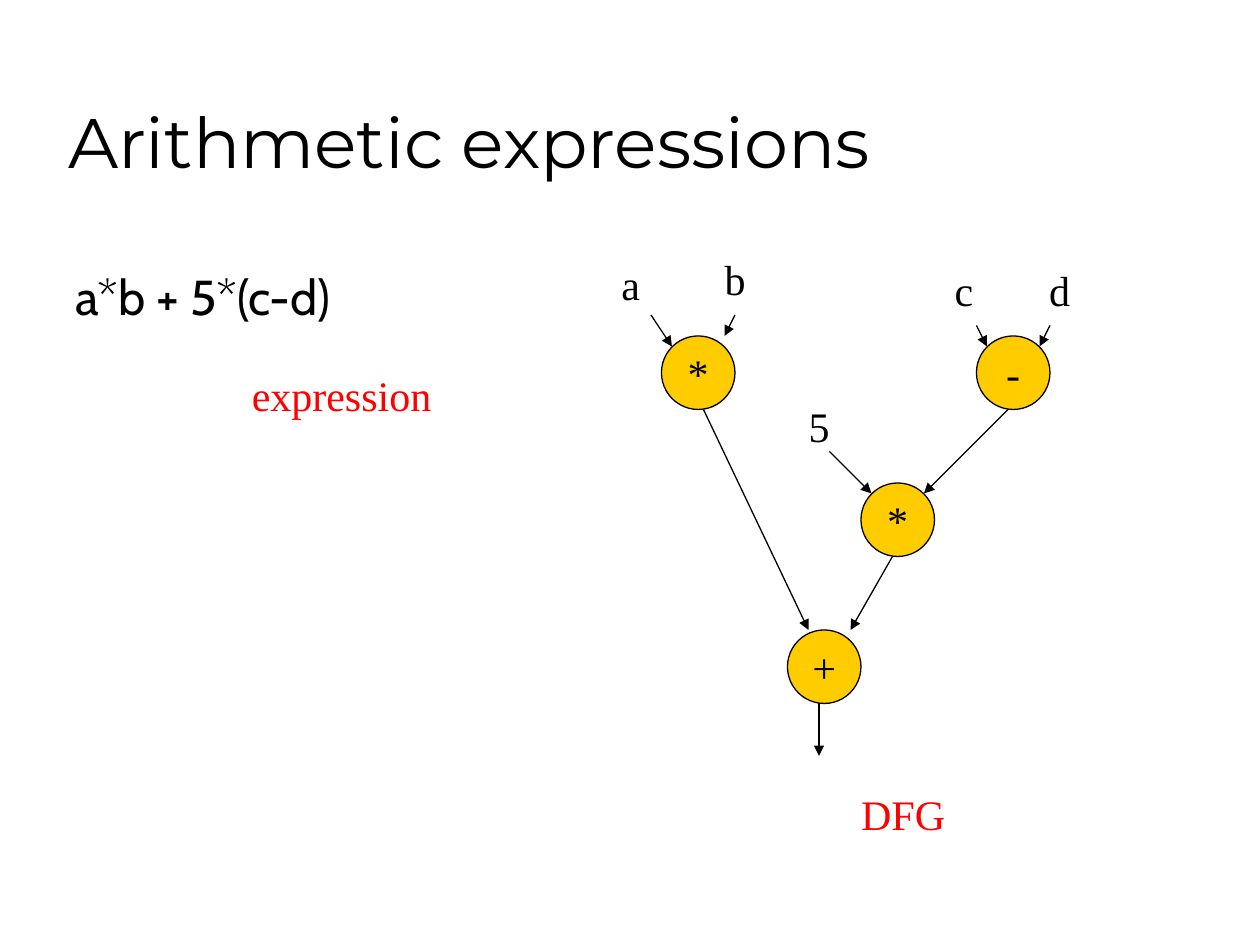
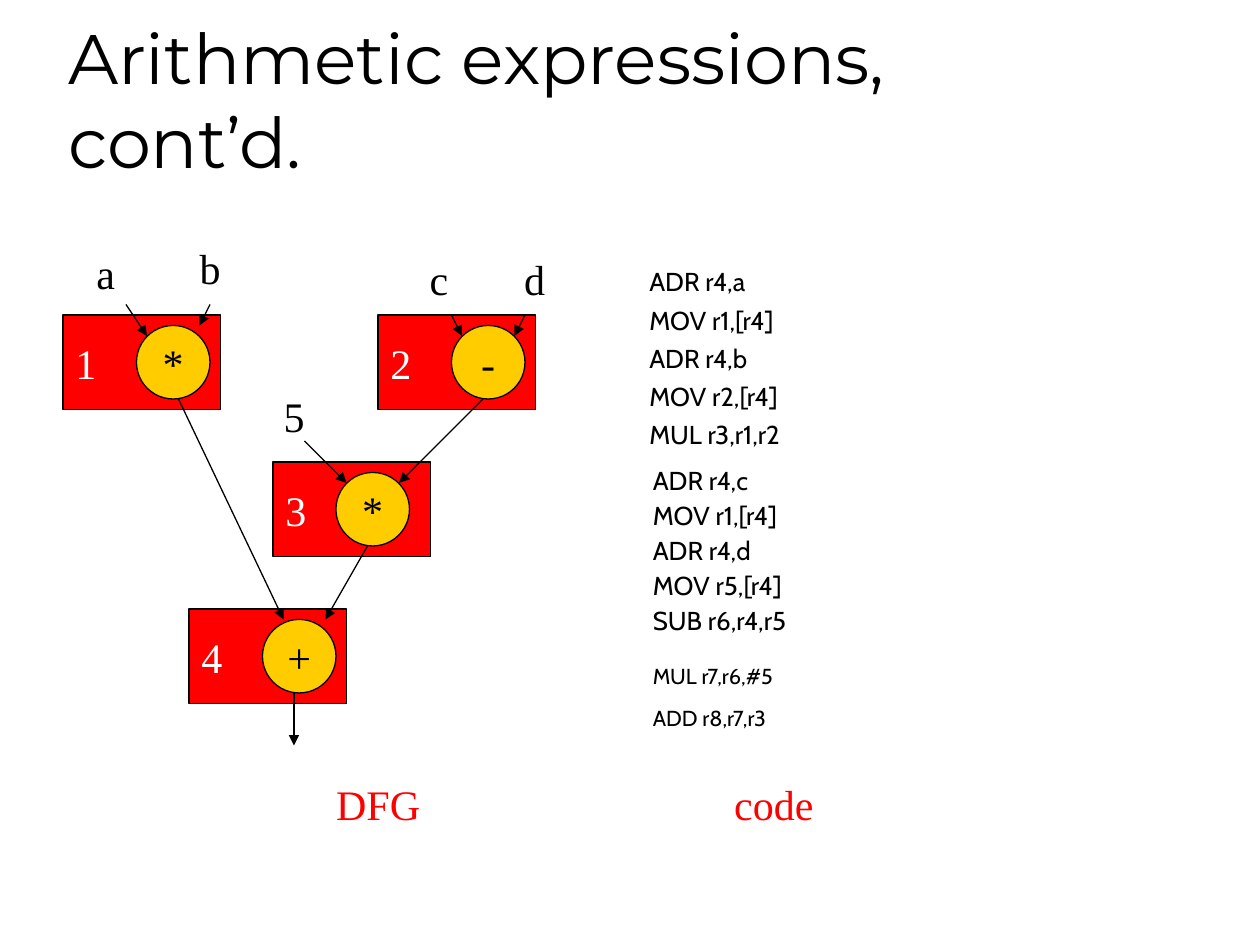
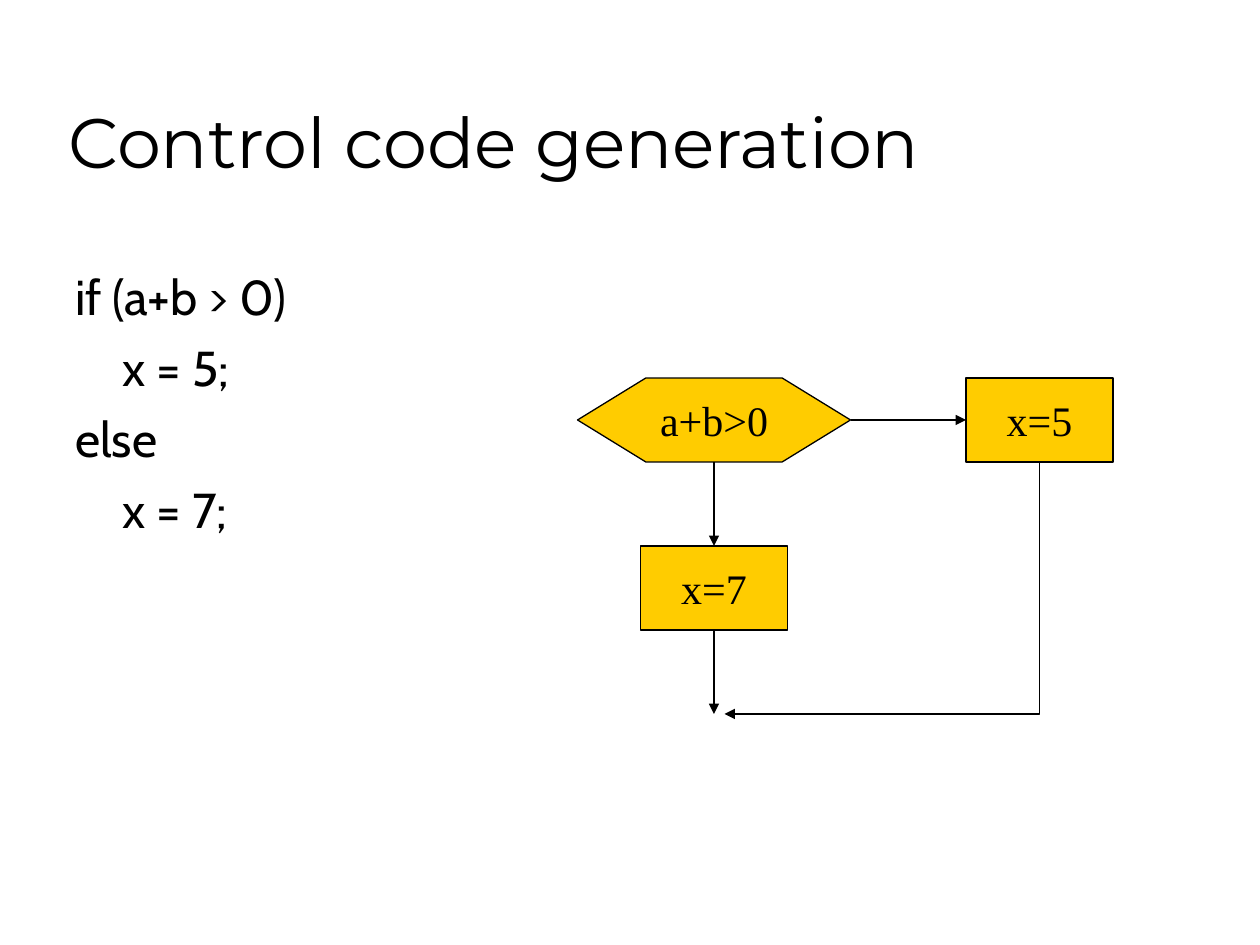
from pptx import Presentation
from pptx.dml.color import RGBColor
from pptx.enum.shapes import MSO_CONNECTOR, MSO_SHAPE
from pptx.enum.text import MSO_ANCHOR, PP_ALIGN
from pptx.oxml.ns import qn
from pptx.util import Pt
from lxml.etree import SubElement

# Shared look
BLACK = RGBColor(0x00, 0x00, 0x00)
WHITE = RGBColor(0xFF, 0xFF, 0xFF)
RED = RGBColor(0xFF, 0x00, 0x00)
GOLD = RGBColor(0xFF, 0xCC, 0x00)
TITLE_FONT, BODY_FONT, LABEL_FONT = "Montserrat", "Cabin", "Times New Roman"
LINE_WIDTH = Pt(0.75)


def add_text(slide, box, lines, font=LABEL_FONT, size=24, color=BLACK, kind=None,
             fill=GOLD, align=PP_ALIGN.LEFT, anchor=MSO_ANCHOR.TOP, wrap=False,
             before=0, spacing=None):
    """Add a text box, or a filled shape when a kind is given."""
    place = [Pt(v) for v in box]
    if kind is None:
        holder = slide.shapes.add_textbox(*place)
    else:
        holder = slide.shapes.add_shape(kind, *place)
        holder.shadow.inherit = False
        holder.fill.solid()
        holder.fill.fore_color.rgb = fill
        holder.line.color.rgb = BLACK
        holder.line.width = LINE_WIDTH
    frame = holder.text_frame
    frame.word_wrap = wrap
    frame.vertical_anchor = anchor
    for i, line in enumerate(lines):
        paragraph = frame.paragraphs[0] if i == 0 else frame.add_paragraph()
        paragraph.text = line
        paragraph.alignment = align
        if i > 0:
            paragraph.space_before = Pt(before)
        if spacing:
            paragraph.line_spacing = spacing
        paragraph.font.name = font
        paragraph.font.size = Pt(size)
        paragraph.font.color.rgb = color
    return holder


def add_arrow(slide, x1, y1, x2, y2, kind=MSO_CONNECTOR.STRAIGHT):
    arrow = slide.shapes.add_connector(kind, Pt(x1), Pt(y1), Pt(x2), Pt(y2))
    arrow.line.color.rgb = BLACK
    arrow.line.width = LINE_WIDTH
    properties = arrow._element.spPr
    SubElement(properties.find(qn("a:ln")), qn("a:tailEnd"), type="triangle")
    SubElement(properties, qn("a:effectLst"))
    return arrow


prs = Presentation()
prs.slide_width, prs.slide_height = Pt(720), Pt(540)

# Slides and titles
titles = ["Arithmetic expressions", "Arithmetic expressions, cont’d.",
          "Control code generation"]
slides = []
for title in titles:
    slide = prs.slides.add_slide(prs.slide_layouts[6])
    add_text(slide, (32, 18, 612, 90), [title], TITLE_FONT, 40,
             anchor=MSO_ANCHOR.BOTTOM, wrap=True)
    slides.append(slide)
expression_slide, code_slide, control_slide = slides

# Numbered blocks behind the graph
for number, x, y in [("2", 216, 180), ("3", 156, 264), ("4", 108, 348), ("1", 36, 180)]:
    add_text(code_slide, (x, y, 90, 54), [number], color=WHITE, fill=RED,
             kind=MSO_SHAPE.RECTANGLE, anchor=MSO_ANCHOR.MIDDLE, wrap=True)

# Data flow graph, shown on two slides with an offset
operators = [("*", 378, 192), ("-", 558, 192), ("*", 492, 276), ("+", 450, 360)]
flows = [(372, 180, 384, 198), (420, 180, 414, 192), (558, 186, 564, 198),
         (600, 186, 594, 198), (402, 234, 462, 360), (468, 402, 468, 432),
         (576, 234, 528, 282), (474, 258, 498, 282), (510, 318, 486, 360)]
operands = [("a", 348, 144), ("b", 407, 141.25), ("c", 538.5, 147.5),
            ("d", 592.5, 147.5), ("5", 455, 225.5)]
for slide, dx, dy in [(expression_slide, 0, 0), (code_slide, -300, -6)]:
    for operator, x, y in operators:
        add_text(slide, (x + dx, y + dy, 42, 42), [operator], kind=MSO_SHAPE.OVAL,
                 align=PP_ALIGN.CENTER, anchor=MSO_ANCHOR.MIDDLE)
    for x1, y1, x2, y2 in flows:
        add_arrow(slide, x1 + dx, y1 + dy, x2 + dx, y2 + dy)
    for operand, x, y in operands:
        add_text(slide, (x + dx, y + dy, 28, 36), [operand])
    add_text(slide, (485 + dx, 447.25 + dy, 68, 36), ["DFG"], color=RED)

# Slide 1: the expression
add_text(expression_slide, (36, 148.5, 316, 43), ["a*b + 5*(c-d)"], BODY_FONT, 28, wrap=True)
add_text(expression_slide, (136.8, 207.5, 124, 36), ["expression"], color=RED)

# Slide 2: the code for each block
listings = [
    (364, 148.5, 115, 14.8, None,
     ["ADR r4,a", "MOV r1,[r4]", "ADR r4,b", "MOV r2,[r4]", "MUL r3,r1,r2"]),
    (366, 264, 115, 14.8, 0.9,
     ["ADR r4,c", "MOV r1,[r4]", "ADR r4,d", "MOV r5,[r4]", "SUB r6,r4,r5"]),
    (366, 378, 24, 12.4, 0.8, ["MUL r7,r6,#5"]),
    (366, 402, 24, 12.4, 0.8, ["ADD r8,r7,r3"]),
]
for x, y, height, size, spacing, lines in listings:
    add_text(code_slide, (x, y, 316, height), lines, BODY_FONT, size,
             wrap=True, before=4, spacing=spacing)
add_text(code_slide, (412.5, 441.25, 66, 36), ["code"], color=RED)

# Slide 3: the conditional, with indented branches
conditional = add_text(control_slide, (36, 148.5, 316, 328),
                       ["if (a+b > 0)", "x = 5;", "else", "x = 7;"],
                       BODY_FONT, 28, wrap=True, before=7)
for branch in conditional.text_frame.paragraphs[1::2]:
    branch._p.get_or_add_pPr().set("marL", str(Pt(27)))

# Slide 3: the flow chart
steps = [("a+b>0", MSO_SHAPE.HEXAGON, 330, 216, 156),
         ("x=5", MSO_SHAPE.RECTANGLE, 552, 216, 84),
         ("x=7", MSO_SHAPE.RECTANGLE, 366, 312, 84)]
test, then_step, else_step = [
    add_text(control_slide, (x, y, width, 48), [label], kind=kind,
             align=PP_ALIGN.CENTER, anchor=MSO_ANCHOR.MIDDLE)
    for label, kind, x, y, width in steps]
test.adjustments[0] = 0.813

add_arrow(control_slide, 486, 240, 552, 240).end_connect(then_step, 1)
add_arrow(control_slide, 408, 264, 408, 312).end_connect(else_step, 0)
add_arrow(control_slide, 408, 360, 408, 408).begin_connect(else_step, 2)

# One-bend path down from x=5 and left to the join, as a quarter turn
join = add_arrow(control_slide, 432, 246, 576, 426, MSO_CONNECTOR.ELBOW)
join_properties = join._element.spPr
join_properties.find(qn("a:xfrm")).set("rot", "5400000")
join_properties.find(qn("a:prstGeom")).set("prst", "bentConnector2")

prs.save("out.pptx")
